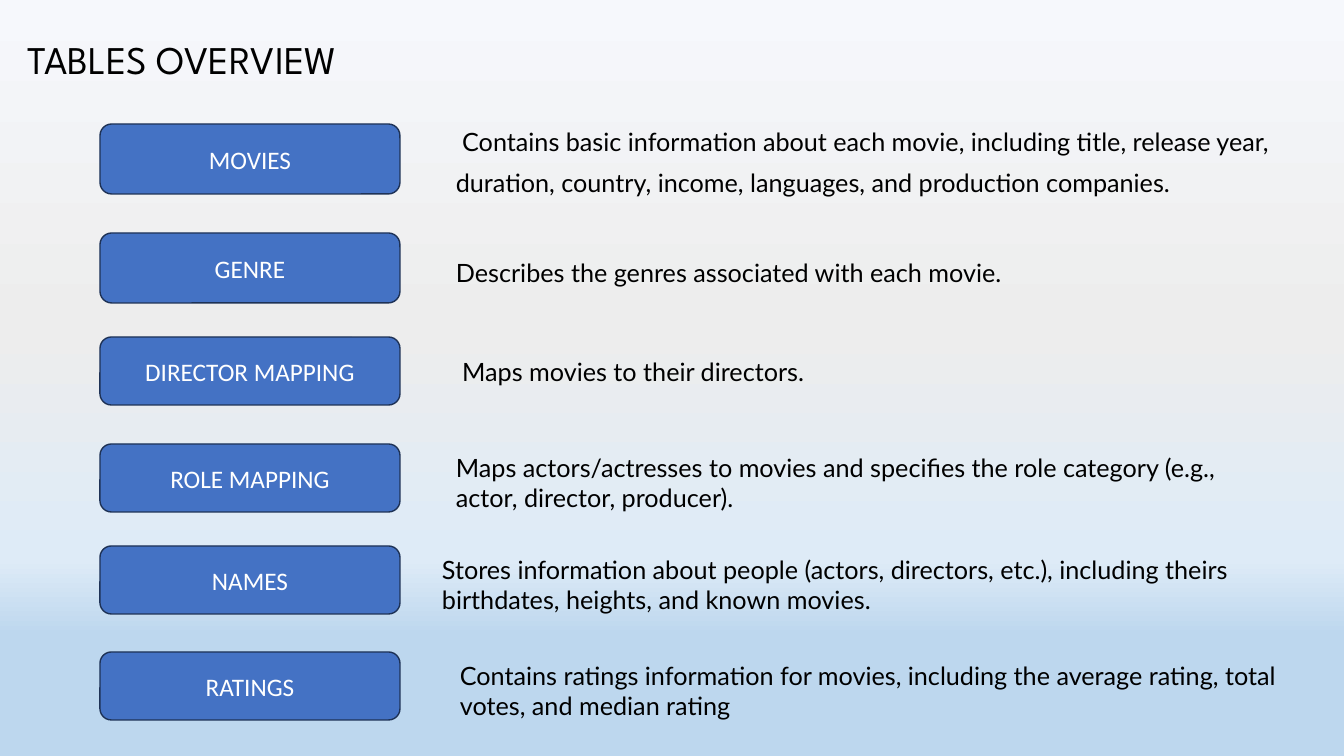
"""Build the slide that lists the tables of a movie database."""
from dataclasses import dataclass

from lxml import etree
from pptx import Presentation
from pptx.dml.color import RGBColor
from pptx.enum.shapes import MSO_SHAPE
from pptx.enum.text import MSO_ANCHOR, PP_ALIGN
from pptx.oxml.ns import qn
from pptx.slide import Slide
from pptx.text.text import TextFrame, _Paragraph
from pptx.util import Emu, Pt

ROUNDED = MSO_SHAPE.ROUNDED_RECTANGLE
MIDDLE = MSO_ANCHOR.MIDDLE
CENTER = PP_ALIGN.CENTER

BLACK = RGBColor(0x00, 0x00, 0x00)
WHITE = RGBColor(0xFF, 0xFF, 0xFF)
BLUE = RGBColor(0x44, 0x72, 0xC4)
NAVY = RGBColor(0x1E, 0x32, 0x56)
SKY_STOPS = (
    (0, RGBColor(0xF6, 0xF8, 0xFC)),
    (43, RGBColor(0xED, 0xED, 0xED)),
    (74, RGBColor(0xDE, 0xEB, 0xF7)),
    (84, RGBColor(0xBD, 0xD7, 0xEE)),
    (100, RGBColor(0xBD, 0xD7, 0xEE)),
)

PX_PER_INCH = 100.8
SLIDE_WIDTH, SLIDE_HEIGHT = 1344, 756
LABEL_LEFT, LABEL_WIDTH = 100, 300
TITLE_FONT, LABEL_FONT, BODY_FONT = "League Spartan", "Calibri", "Lato"
LEAD_FONT = "Times New Roman"


@dataclass(frozen=True)
class TableEntry:
    """One database table with its label and description."""

    name: str
    label_top: int
    label_height: int
    lines: tuple[str, ...]
    left: int
    top: int
    width: int
    height: int
    lead: str = ""
    line_spacing: float = 1.0
    gap: int = 0


ENTRIES = (
    TableEntry("MOVIES", 124, 70, (
        "Contains basic information about each movie, including title, release year,",
        "duration, country, income, languages, and production companies.",
    ), 446, 125, 851, 82, lead=" ", line_spacing=0.9, gap=10),
    TableEntry("GENRE", 233, 70, (
        "Describes the genres associated with each movie.",
    ), 446, 252, 851, 40),
    TableEntry("DIRECTOR MAPPING", 337, 68, (
        "Maps movies to their directors.",
    ), 446, 351, 684, 40, lead=" "),
    TableEntry("ROLE MAPPING", 444, 68, (
        "Maps actors/actresses to movies and specifies the role category (e.g.,",
        "actor, director, producer).",
    ), 446, 447, 877, 72),
    TableEntry("NAMES", 546, 68, (
        "Stores information about people (actors, directors, etc.), including theirs",
        "birthdates, heights, and known movies.",
    ), 432, 549, 894, 72),
    TableEntry("RATINGS", 652, 68, (
        "Contains ratings information for movies, including the average rating, total",
        "votes, and median rating",
    ), 450, 655, 877, 72),
)


def px(length: int) -> Emu:
    """Turn slide pixels into EMU."""
    return Emu(round(length * 914400 / PX_PER_INCH))


def add_run(paragraph: _Paragraph, text: str, font: str, size: int, color: RGBColor) -> None:
    """Append one formatted run."""
    run = paragraph.add_run()
    run.text = text
    run.font.name = font
    run.font.size = Pt(size)
    run.font.color.rgb = color


def paint_background(slide: Slide) -> None:
    """Fill the background with a gradient from top to bottom."""
    fill = slide.background.fill
    fill.gradient()
    fill.gradient_angle = 270
    stops = slide.element.find(".//" + qn("a:gsLst"))
    stops.clear()
    for percent, color in SKY_STOPS:
        stop = etree.SubElement(stops, qn("a:gs"), pos=str(percent * 1000))
        etree.SubElement(stop, qn("a:srgbClr"), val=str(color))


def add_text_frame(slide: Slide, left: int, top: int, width: int, height: int) -> TextFrame:
    """Add a wrapping text box and return its frame."""
    frame = slide.shapes.add_textbox(px(left), px(top), px(width), px(height)).text_frame
    frame.word_wrap = True
    return frame


def add_title(slide: Slide) -> None:
    """Write the slide title."""
    heading = add_text_frame(slide, 18, 37, 503, 50)
    heading.vertical_anchor = MIDDLE
    heading.paragraphs[0].line_spacing = 0.9
    add_run(heading.paragraphs[0], "TABLES OVERVIEW", TITLE_FONT, 28, BLACK)


def add_label(slide: Slide, entry: TableEntry) -> None:
    """Draw the rounded label with the table name."""
    label = slide.shapes.add_shape(
        ROUNDED, px(LABEL_LEFT), px(entry.label_top), px(LABEL_WIDTH), px(entry.label_height))
    label.shadow.inherit = False
    label.fill.solid()
    label.fill.fore_color.rgb = BLUE
    label.line.color.rgb = NAVY
    label.line.width = Pt(1)
    label.text_frame.vertical_anchor = MIDDLE
    name = label.text_frame.paragraphs[0]
    name.alignment = CENTER
    add_run(name, entry.name, LABEL_FONT, 18, WHITE)


def add_description(slide: Slide, entry: TableEntry) -> None:
    """Write the description beside a label."""
    description = add_text_frame(slide, entry.left, entry.top, entry.width, entry.height)
    for index, line in enumerate(entry.lines):
        paragraph = description.add_paragraph() if index else description.paragraphs[0]
        paragraph.line_spacing = entry.line_spacing
        if index:
            paragraph.space_before = Pt(entry.gap)
        elif entry.lead:
            add_run(paragraph, entry.lead, LEAD_FONT, 18, BLACK)
        add_run(paragraph, line, BODY_FONT, 18, BLACK)


def main() -> None:
    """Build and save the presentation."""
    presentation = Presentation()
    presentation.slide_width = px(SLIDE_WIDTH)
    presentation.slide_height = px(SLIDE_HEIGHT)
    slide = presentation.slides.add_slide(presentation.slide_layouts[6])
    paint_background(slide)
    add_title(slide)
    for entry in ENTRIES:
        add_label(slide, entry)
        add_description(slide, entry)
    presentation.save("out.pptx")


if __name__ == "__main__":
    main()
